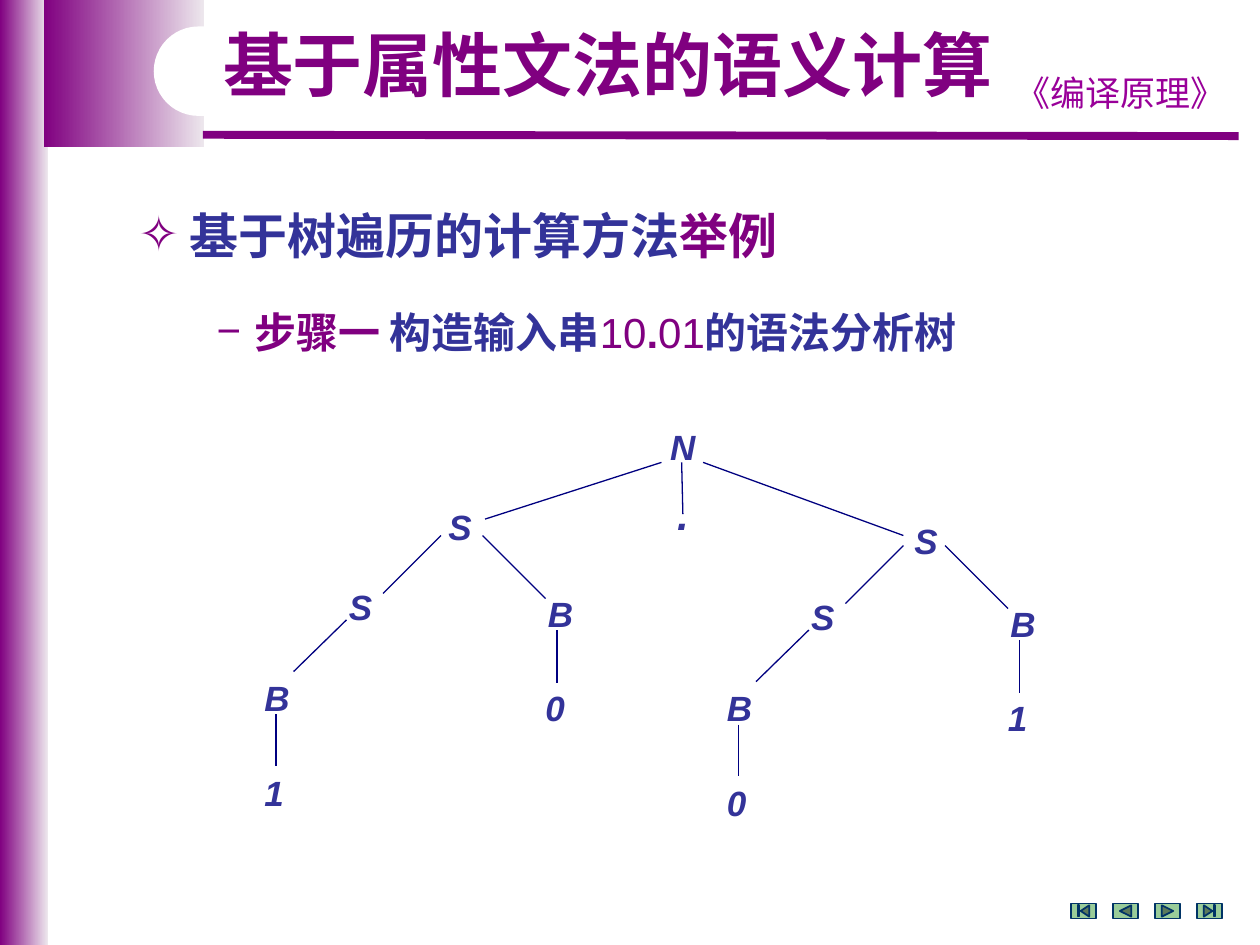
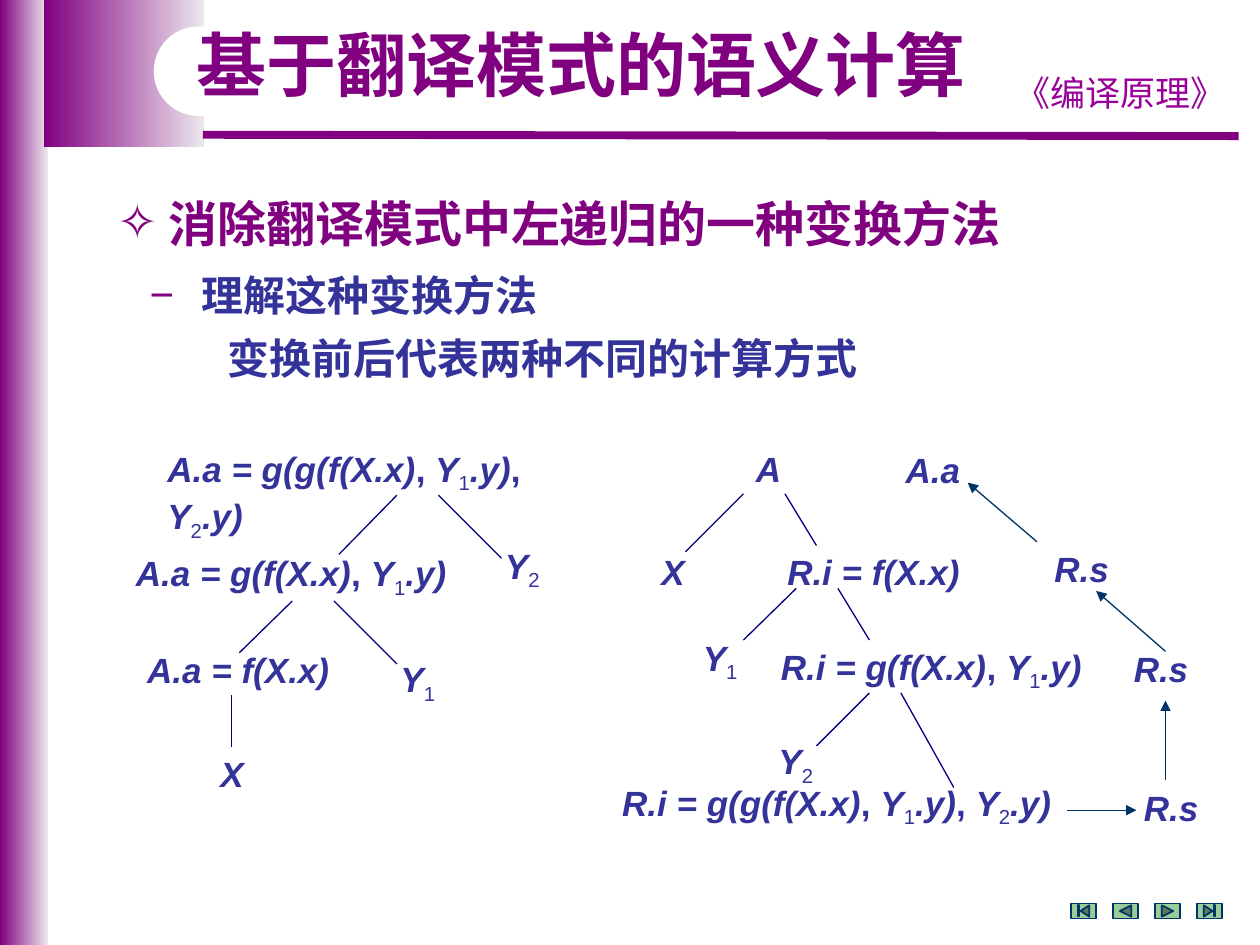
from typing import NamedTuple

from lxml import etree
from pptx import Presentation
from pptx.dml.color import RGBColor
from pptx.enum.shapes import MSO_CONNECTOR, MSO_SHAPE
from pptx.enum.text import MSO_ANCHOR, MSO_AUTO_SIZE, PP_ALIGN
from pptx.oxml.ns import qn
from pptx.util import Inches, Pt

STRAIGHT = MSO_CONNECTOR.STRAIGHT
RECTANGLE = MSO_SHAPE.RECTANGLE
ROUNDED = MSO_SHAPE.ROUNDED_RECTANGLE
NAVIGATION_BUTTONS = (
    MSO_SHAPE.ACTION_BUTTON_BEGINNING,
    MSO_SHAPE.ACTION_BUTTON_BACK_OR_PREVIOUS,
    MSO_SHAPE.ACTION_BUTTON_FORWARD_OR_NEXT,
    MSO_SHAPE.ACTION_BUTTON_END,
)
TOP, MIDDLE = MSO_ANCHOR.TOP, MSO_ANCHOR.MIDDLE
LEFT, CENTER = PP_ALIGN.LEFT, PP_ALIGN.CENTER
NO_AUTOFIT = MSO_AUTO_SIZE.NONE
TITLE_ONLY = 5

LATIN_FONT, CHINESE_FONT = "Arial", "Noto Sans CJK SC"
PURPLE, PALE, MAGENTA = "800080", "EDE7ED", "990099"
BLUE, NAVY, TEAL, GREEN, WHITE = "333399", "000080", "003366", "99CC99", "FFFFFF"


class Box(NamedTuple):
    left: float
    top: float
    width: float
    height: float


class Node(NamedTuple):
    """A formula in a tree; _ marks a one-character subscript."""
    formula: str
    left: float
    top: float
    width: float = 0.6


class Edge(NamedTuple):
    start_x: float
    start_y: float
    end_x: float
    end_y: float


class Bullet(NamedTuple):
    character: str
    size: int


def rgb(color: str) -> RGBColor:
    return RGBColor.from_string(color)


def inches(values) -> list:
    return [Inches(value) for value in values]


def add_run(paragraph, text: str, *, size=20, color=BLUE, bold=True,
            italic=False, font=LATIN_FONT, baseline=0) -> None:
    run = paragraph.add_run()
    run.text = text
    run.font.size = Pt(size)
    run.font.bold = bold
    run.font.italic = italic
    run.font.color.rgb = rgb(color)
    run.font.name = font
    properties = run._r.get_or_add_rPr()
    etree.SubElement(properties, qn("a:ea"), typeface=CHINESE_FONT)
    if baseline:
        properties.set("baseline", str(baseline * 1000))


def format_frame(frame, anchor) -> None:
    frame.word_wrap = True
    frame.auto_size = NO_AUTOFIT
    frame.vertical_anchor = anchor


def add_text_frame(slide, box: Box, anchor=TOP):
    frame = slide.shapes.add_textbox(*inches(box)).text_frame
    format_frame(frame, anchor)
    return frame


def indent(paragraph, text_left: float, bullet: Bullet | None = None,
           hanging: float = 0) -> None:
    """Start the text at text_left, with the bullet hanging before it."""
    properties = paragraph._p.get_or_add_pPr()
    properties.set("marL", str(Inches(text_left)))
    properties.set("indent", str(-Inches(hanging)))
    if bullet:
        bullet_color = etree.SubElement(properties, qn("a:buClr"))
        etree.SubElement(bullet_color, qn("a:srgbClr"), val=PURPLE)
        etree.SubElement(properties, qn("a:buSzPts"), val=str(bullet.size * 100))
        etree.SubElement(properties, qn("a:buFont"), typeface=LATIN_FONT)
        etree.SubElement(properties, qn("a:buChar"), char=bullet.character)


def add_filled_shape(slide, kind, box: Box, fill: str, line: str | None = None):
    shape = slide.shapes.add_shape(kind, *inches(box))
    shape.shadow.inherit = False
    shape.fill.solid()
    shape.fill.fore_color.rgb = rgb(fill)
    if line:
        shape.line.color.rgb = rgb(line)
        shape.line.width = Pt(1)
    else:
        shape.line.fill.background()
    return shape


def add_gradient_band(slide, box: Box) -> None:
    fill = add_filled_shape(slide, RECTANGLE, box, PURPLE).fill
    fill.gradient()
    fill.gradient_angle = 0
    for stop, color in zip(fill.gradient_stops, (PURPLE, PALE)):
        stop.color.rgb = rgb(color)


def add_line(slide, edge: Edge, color=NAVY, width=0.75, arrow=False) -> None:
    connector = slide.shapes.add_connector(STRAIGHT, *inches(edge))
    connector.line.color.rgb = rgb(color)
    connector.line.width = Pt(width)
    if arrow:
        etree.SubElement(connector.line._get_or_add_ln(), qn("a:tailEnd"),
                         type="triangle")
    etree.SubElement(connector._element.spPr, qn("a:effectLst"))


def add_node(slide, node: Node) -> None:
    """Draw a bold italic formula with upright commas and subscripts."""
    frame = add_text_frame(slide, Box(node.left, node.top, node.width, 0.43))
    paragraph = frame.paragraphs[0]
    for part_index, part in enumerate(node.formula.split("_")):
        if part_index:
            add_run(paragraph, part[0], bold=False, baseline=-25)
            part = part[1:]
        for piece_index, piece in enumerate(part.split(", ")):
            if piece_index:
                add_run(paragraph, ", ")
            if piece:
                add_run(paragraph, piece, italic=True)


def add_tree(slide, nodes, edges, left=0.0, top=0.0) -> None:
    """Draw nodes and edges, all moved by left and top."""
    for edge in edges:
        add_line(slide, Edge(edge.start_x + left, edge.start_y + top,
                             edge.end_x + left, edge.end_y + top))
    for node in nodes:
        add_node(slide, node._replace(left=node.left + left, top=node.top + top))


def add_themed_slide(presentation, title: str, title_left: float):
    """Add a slide with the bands, course name, buttons and title."""
    slide = presentation.slides.add_slide(presentation.slide_layouts[TITLE_ONLY])
    add_gradient_band(slide, Box(0, 0, 0.38, 7.5))
    add_gradient_band(slide, Box(0.35, 0, 1.27, 1.17))
    add_line(slide, Edge(1.61, 1.07, 9.83, 1.08), PURPLE, 4.5)
    course = add_text_frame(slide, Box(7.91, 0.52, 1.97, 0.43), MIDDLE).paragraphs[0]
    course.alignment = CENTER
    add_run(course, "《编译原理》", color=MAGENTA, bold=False, font=CHINESE_FONT)
    notch = add_filled_shape(slide, ROUNDED, Box(1.22, 0.21, 3.62, 0.71), WHITE)
    notch.adjustments[0] = 0.5
    for index, kind in enumerate(NAVIGATION_BUTTONS):
        add_filled_shape(slide, kind, Box(8.5 + index / 3, 7.17, 0.2, 0.12), GREEN, TEAL)

    heading = slide.shapes.title
    heading.left, heading.top, heading.width, heading.height = inches(
        Box(title_left, 0.2, 6.45, 0.7))
    format_frame(heading.text_frame, MIDDLE)
    paragraph = heading.text_frame.paragraphs[0]
    paragraph.alignment = LEFT
    paragraph.line_spacing = 0.9
    add_run(paragraph, title, size=40, color=PURPLE)
    slide.shapes._spTree.append(heading._element)  # in front of the white notch
    return slide


def build_parse_tree_slide(presentation) -> None:
    slide = add_themed_slide(presentation, "基于属性文法的语义计算", 1.67)

    topic = add_text_frame(slide, Box(1, 1.58, 8.83, 0.57), MIDDLE).paragraphs[0]
    indent(topic, 0.41, Bullet("✧", 28), 0.41)
    add_run(topic, "基于树遍历的计算方法", size=28)
    add_run(topic, "举例", size=28, color=PURPLE)

    step = add_text_frame(slide, Box(1.62, 2.38, 7.88, 0.5), MIDDLE).paragraphs[0]
    indent(step, 0.3, Bullet("−", 24), 0.3)
    for text, color, bold in (
        ("步骤一 ", PURPLE, True), ("构造输入串", BLUE, True),
        ("10", PURPLE, False), (".", PURPLE, True), ("01", PURPLE, False),
        ("的语法分析树", BLUE, True),
    ):
        add_run(step, text, size=24, color=color, bold=bold)

    root_nodes = [Node("N", 5.22, 3.33), Node("S", 3.46, 3.96), Node("S", 7.16, 4.07)]
    root_edges = [Edge(5.25, 3.67, 3.85, 4.12), Edge(5.41, 3.67, 5.42, 4.08),
                  Edge(5.58, 3.67, 7.17, 4.25)]
    add_tree(slide, root_nodes, root_edges)
    point = add_text_frame(slide, Box(5.25, 3.83, 0.34, 0.5)).paragraphs[0]
    point.alignment = CENTER
    add_run(point, ".", size=24, italic=True)

    subtree_nodes = [Node("S", 2.67, 4.6), Node("B", 4.25, 4.65), Node("B", 2, 5.32)]
    subtree_edges = [
        Edge(3.5, 4.25, 3.04, 4.71), Edge(3.83, 4.25, 4.33, 4.75),
        Edge(2.75, 4.92, 2.33, 5.33), Edge(4.42, 5, 4.42, 5.42),
        Edge(2.19, 5.67, 2.19, 6.08),
    ]
    for first_digit, second_digit, left, top in (("1", "0", 0, 0), ("0", "1", 3.67, 0.08)):
        leaves = [Node(first_digit, 2, 6.07), Node(second_digit, 4.23, 5.4)]
        add_tree(slide, subtree_nodes + leaves, subtree_edges, left, top)


def build_transformation_slide(presentation) -> None:
    slide = add_themed_slide(presentation, "基于翻译模式的语义计算", 1.46)

    frame = add_text_frame(slide, Box(0.83, 1.4, 8.83, 1.77), MIDDLE)
    topic, method, remark = [frame.paragraphs[0], frame.add_paragraph(),
                             frame.add_paragraph()]
    indent(topic, 0.41, Bullet("✧", 28), 0.41)
    add_run(topic, "消除翻译模式中左递归的一种变换方法", size=28, color=PURPLE)
    indent(method, 0.67, Bullet("−", 28), 0.41)
    method.space_before = Pt(10)
    add_run(method, "理解这种变换方法", size=24)
    indent(remark, 0.88)
    remark.space_before = Pt(7)
    add_run(remark, "变换前后代表两种不同的计算方式", size=24)

    before_nodes = [
        Node("A.a = g(g(f(X.x), Y_1.y), Y_2.y)", 1.23, 3.5, 3.67),
        Node("A.a = g(f(X.x), Y_1.y)", 0.98, 4.33, 2.8),
        Node("A.a = f(X.x)", 1.07, 5.1, 1.8),
        Node("Y_2", 3.91, 4.27), Node("Y_1", 3.08, 5.17), Node("X", 1.65, 5.92),
    ]
    before_edges = [
        Edge(3.15, 3.93, 2.69, 4.4), Edge(3.48, 3.93, 3.98, 4.43),
        Edge(2.32, 4.77, 1.9, 5.18), Edge(2.65, 4.77, 3.15, 5.27),
        Edge(1.84, 5.52, 1.84, 5.93),
    ]
    after_nodes = [
        Node("A", 5.9, 3.5), Node("X", 5.15, 4.32),
        Node("R.i = f(X.x)", 6.15, 4.32, 1.8),
        Node("Y_1", 5.48, 5), Node("R.i = g(f(X.x), Y_1.y)", 6.1, 5.07, 2.8),
        Node("Y_2", 6.08, 5.82),
        Node("R.i = g(g(f(X.x), Y_1.y), Y_2.y)", 4.84, 6.15, 3.8),
        Node("R.s", 8.98, 6.19, 0.9), Node("R.s", 8.9, 5.09, 0.9),
        Node("R.s", 8.27, 4.3, 0.9), Node("A.a", 7.09, 3.51, 0.9),
    ]
    after_edges = [
        Edge(5.9, 3.92, 5.44, 4.38), Edge(6.23, 3.92, 6.48, 4.33),
        Edge(6.32, 4.67, 5.9, 5.08), Edge(6.65, 4.67, 6.9, 5.08),
        Edge(6.9, 5.5, 6.48, 5.92), Edge(7.15, 5.5, 7.57, 6.25),
    ]
    add_tree(slide, before_nodes, before_edges)
    add_tree(slide, after_nodes, after_edges)

    synthesis_arrows = [
        Edge(8.47, 6.43, 9.02, 6.43), Edge(9.25, 6.19, 9.25, 5.56),
        Edge(9.25, 5.17, 8.7, 4.69), Edge(8.23, 4.3, 7.68, 3.83),
    ]
    for arrow in synthesis_arrows:
        add_line(slide, arrow, TEAL, arrow=True)


def main() -> None:
    presentation = Presentation()
    presentation.slide_width, presentation.slide_height = Inches(10), Inches(7.5)
    build_parse_tree_slide(presentation)
    build_transformation_slide(presentation)
    presentation.save("out.pptx")


if __name__ == "__main__":
    main()
